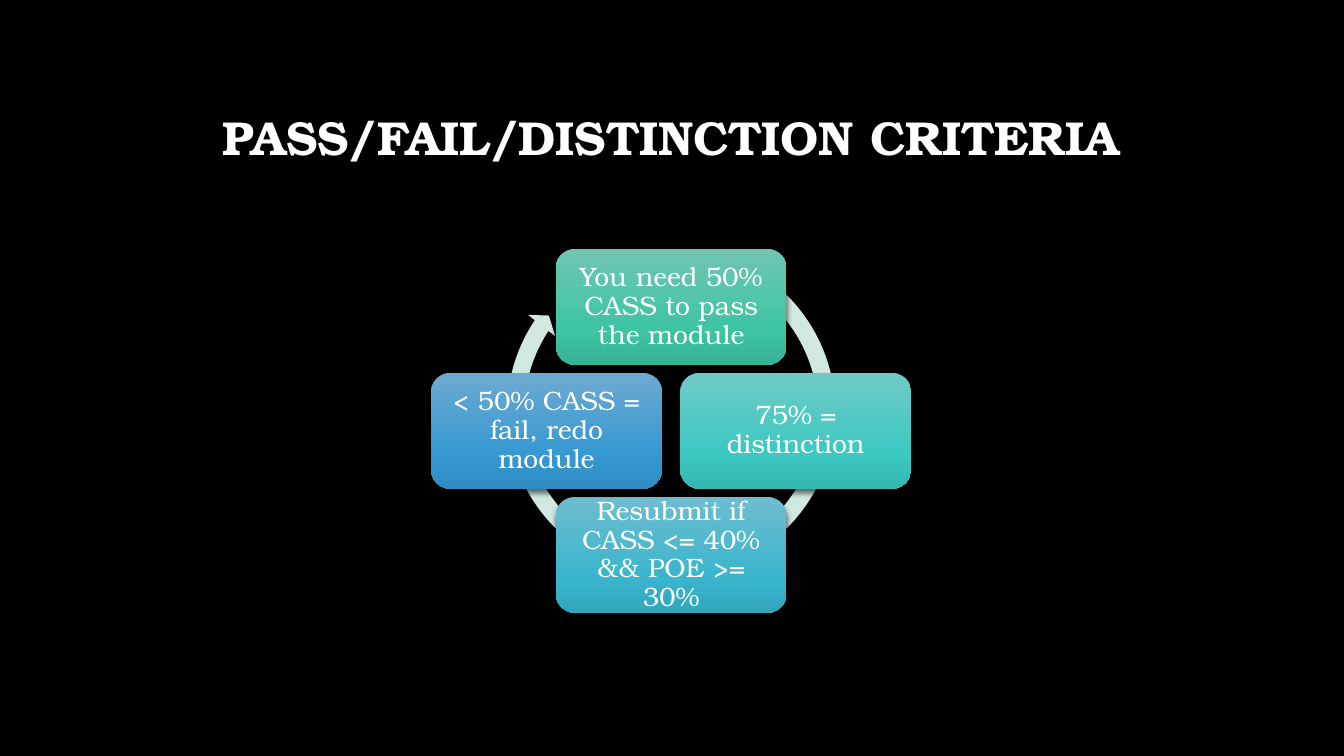
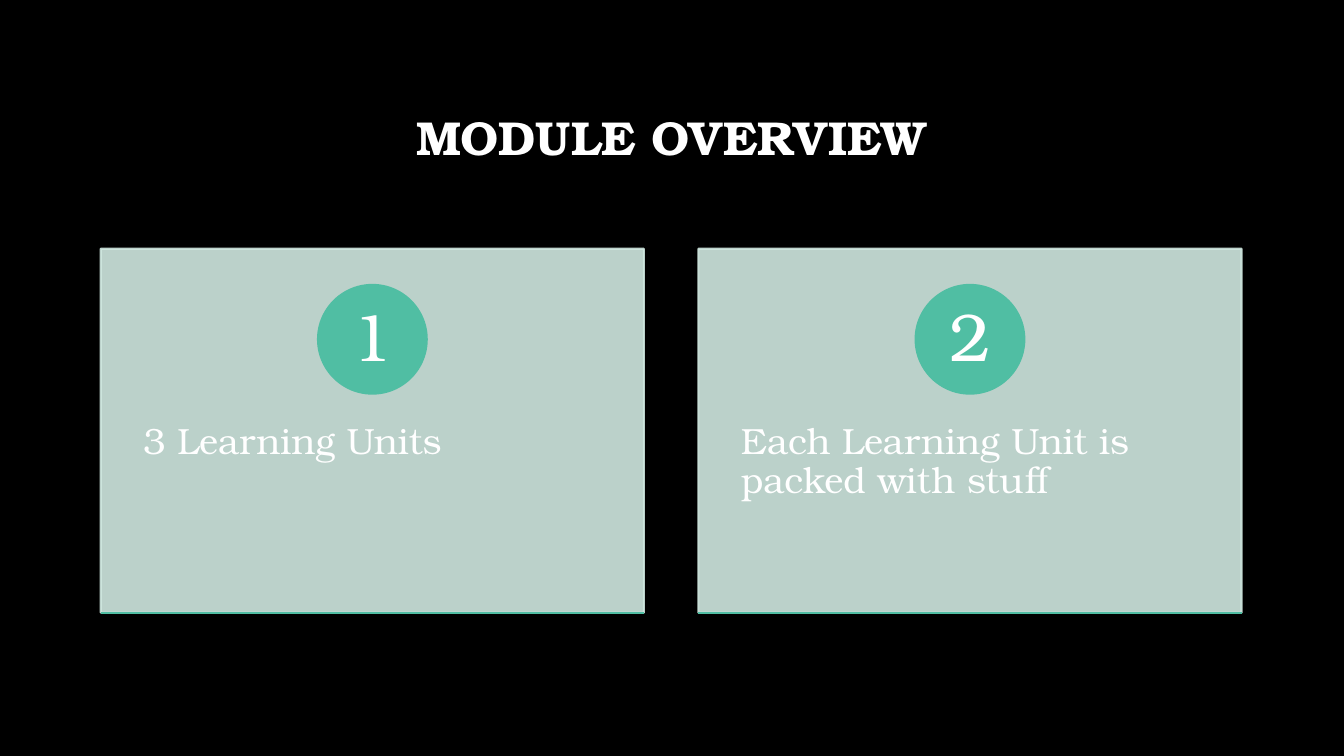
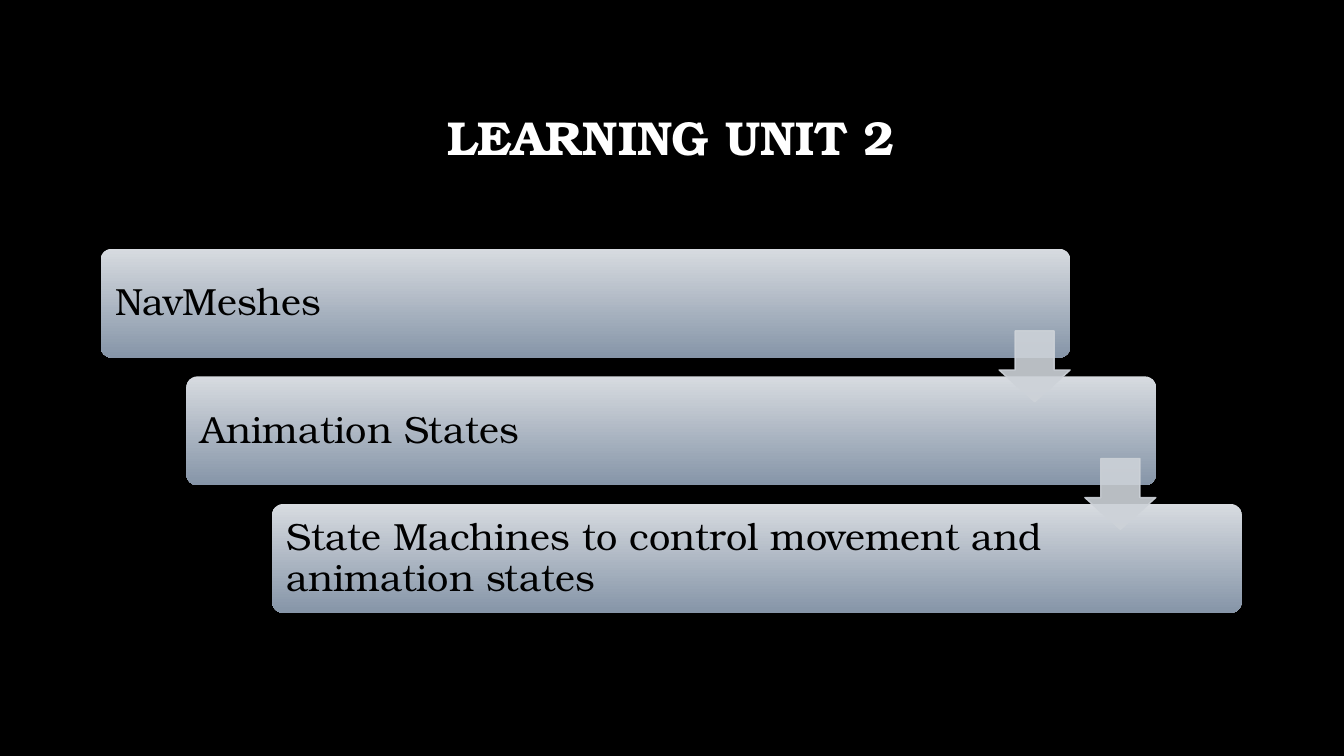
"""Build three slides on module marks, module content and learning unit topics."""
import dataclasses
import typing

import lxml.etree
import pptx
import pptx.dml.color
import pptx.enum.shapes
import pptx.enum.text
import pptx.oxml.ns
import pptx.presentation
import pptx.shapes.autoshape
import pptx.slide
import pptx.text.text
import pptx.util

Cm = pptx.util.Cm
Pt = pptx.util.Pt
qn = pptx.oxml.ns.qn
KIND = pptx.enum.shapes.MSO_SHAPE
ALIGN = pptx.enum.text.PP_ALIGN
ANCHOR = pptx.enum.text.MSO_ANCHOR

FONT = "TeX Gyre Bonum"
WHITE = "FFFFFF"
BLACK = "000000"
MINT = "D0E8E0"
GREEN = "50BEA3"
SILVER = "CDD2D8"
STEEL = ((0, "D7DBE0"), (100, "8695A8"))

LEFT, TOP, WIDTH, HEIGHT = 2.54, 6.27, 28.75, 9.17
MID_X, MID_Y = LEFT + WIDTH / 2, TOP + HEIGHT / 2

Stops = tuple[tuple[int, str], ...]


@dataclasses.dataclass(frozen=True)
class Box:
    """Place and size in centimetres."""
    left: float
    top: float
    width: float
    height: float


@dataclasses.dataclass(frozen=True)
class Style:
    """Look of a block of text, with insets as left, top, right, bottom."""
    size: int
    color: str = WHITE
    bold: bool = False
    align: ALIGN = ALIGN.CENTER
    anchor: ANCHOR = ANCHOR.MIDDLE
    inset: tuple[float, float, float, float] = (0.2, 0.2, 0.2, 0.2)


@dataclasses.dataclass(frozen=True)
class Tile:
    """One rule in the cycle, placed in steps from its centre."""
    text: str
    col: int
    row: int
    stops: Stops


HEAD = Style(34, bold=True, inset=(0.25, 0.13, 0.25, 0.13))
RULE = Style(19)
CARD = Style(26, align=ALIGN.LEFT, anchor=ANCHOR.TOP, inset=(1.07, 4.39, 1.07, 0.9))
DIGIT = Style(48, inset=(0.2, 0.03, 0.2, 0.03))
STEP = Style(27, BLACK, align=ALIGN.LEFT, inset=(0.28, 0.28, 4.2, 0.28))

TILES = (
    Tile("You need 50% CASS to pass the module", 0, -1,
         ((0, "70C6AF"), (69, "3EC4A3"), (100, "37B395"))),
    Tile("75% = distinction", 1, 0,
         ((0, "6FCAC6"), (69, "3DC8C2"), (100, "34B8B3"))),
    Tile("Resubmit if CASS <= 40% && POE >= 30%", 0, 1,
         ((0, "6EBDCE"), (69, "3AB5CD"), (100, "32A6BD"))),
    Tile("< 50% CASS = fail, redo module", -1, 0,
         ((0, "6DAAD2"), (69, "3799D2"), (100, "2F8CC2"))),
)
CARDS = ("3 Learning Units", "Each Learning Unit is packed with stuff")
STEPS = ("NavMeshes", "Animation States",
         "State Machines to control movement and animation states")


def tint(code: str) -> pptx.dml.color.RGBColor:
    """Turn a hex string into a colour."""
    return pptx.dml.color.RGBColor.from_string(code)


def write(frame: pptx.text.text.TextFrame, text: str, style: Style) -> None:
    """Put one styled paragraph in a text frame."""
    frame.word_wrap = True
    frame.vertical_anchor = style.anchor
    (frame.margin_left, frame.margin_top,
     frame.margin_right, frame.margin_bottom) = map(Cm, style.inset)
    para = frame.paragraphs[0]
    para.text = text
    para.alignment = style.align
    para.line_spacing = 0.9
    para.font.name = FONT
    para.font.size = Pt(style.size)
    para.font.bold = style.bold
    para.font.color.rgb = tint(style.color)


def draw(slide: pptx.slide.Slide, kind: KIND, box: Box, fill: str | Stops,
         line: float = 0, knobs: typing.Sequence[float] = ()) -> pptx.shapes.autoshape.Shape:
    """Add a preset shape with a plain or graded fill."""
    shape = slide.shapes.add_shape(
        kind, Cm(box.left), Cm(box.top), Cm(box.width), Cm(box.height))
    shape.shadow.inherit = False
    for index, value in enumerate(knobs):
        shape.adjustments[index] = value
    if isinstance(fill, str):
        shape.fill.solid()
        shape.fill.fore_color.rgb = tint(fill)
    else:
        grade(shape, fill)
    if line and isinstance(fill, str):
        shape.line.width = Pt(line)
        shape.line.color.rgb = tint(fill)
    else:
        shape.line.fill.background()
    return shape


def grade(shape: pptx.shapes.autoshape.Shape, stops: Stops) -> None:
    """Fill a shape with colours running from top to bottom."""
    shape.fill.gradient()
    shape.fill.gradient_angle = 270
    items = shape.element.spPr.find(".//" + qn("a:gsLst"))
    for item in list(items):
        items.remove(item)
    for place, code in stops:
        stop = lxml.etree.SubElement(items, qn("a:gs"), pos=str(place * 1000))
        lxml.etree.SubElement(stop, qn("a:srgbClr"), val=code)


def fade(shape: pptx.shapes.autoshape.Shape) -> None:
    """Make fill and line ninety percent opaque."""
    for color in shape.element.spPr.iter(qn("a:srgbClr")):
        lxml.etree.SubElement(color, qn("a:alpha"), val="90000")


def shade(shape: pptx.shapes.autoshape.Shape) -> None:
    """Drop a soft shadow below a shape."""
    effects = shape.element.spPr.find(qn("a:effectLst"))
    shadow = lxml.etree.SubElement(
        effects, qn("a:outerShdw"), blurRad=str(Pt(4)), dist=str(Pt(3)),
        dir="5400000", rotWithShape="0")
    color = lxml.etree.SubElement(shadow, qn("a:srgbClr"), val=BLACK)
    lxml.etree.SubElement(color, qn("a:alpha"), val="54000")


def start(deck: pptx.presentation.Presentation, title: str) -> pptx.slide.Slide:
    """Add a blank slide with the shared title."""
    slide = deck.slides.add_slide(deck.slide_layouts[6])
    label = slide.shapes.add_textbox(Cm(LEFT), Cm(1.7), Cm(WIDTH), Cm(3.68))
    write(label.text_frame, title, HEAD)
    return slide


def cycle(slide: pptx.slide.Slide) -> None:
    """Draw the pass rules around a ring."""
    width, height, ring = 5.82, 2.92, 8.71
    arrow = draw(slide, KIND.CIRCULAR_ARROW,
                 Box(MID_X - ring / 2, MID_Y - 0.48 - ring / 2, ring, ring), MINT,
                 knobs=(0.05, 2.73, 128.17, 180.41, 0.05))
    shade(arrow)
    for tile in TILES:
        box = Box(MID_X + tile.col * 3.14 - width / 2,
                  MID_Y + tile.row * (HEIGHT - height) / 2 - height / 2, width, height)
        shape = draw(slide, KIND.ROUNDED_RECTANGLE, box, tile.stops)
        shade(shape)
        write(shape.text_frame, tile.text, RULE)


def cards(slide: pptx.slide.Slide) -> None:
    """Draw the numbered cards side by side."""
    width, disc = 13.69, 2.74
    for index, text in enumerate(CARDS):
        left = LEFT + index * (WIDTH - width)
        card = draw(slide, KIND.RECTANGLE, Box(left, TOP, width, HEIGHT), MINT, 1.5)
        fade(card)
        write(card.text_frame, text, CARD)
        badge = draw(slide, KIND.OVAL,
                     Box(left + (width - disc) / 2, TOP + 0.91, disc, disc), GREEN, 1.5)
        write(badge.text_frame, str(index + 1), DIGIT)
        base = slide.shapes.add_connector(
            pptx.enum.shapes.MSO_CONNECTOR.STRAIGHT,
            Cm(left), Cm(TOP + HEIGHT), Cm(left + width), Cm(TOP + HEIGHT))
        base.line.width = Pt(1.5)
        base.line.color.rgb = tint(GREEN)
        lxml.etree.SubElement(base.element.spPr, qn("a:effectLst"))


def stairs(slide: pptx.slide.Slide) -> None:
    """Draw the topics as steps joined by arrows."""
    width, height, arrow = 24.43, 2.74, 1.79
    gaps = len(STEPS) - 1
    spots = [Box(LEFT + index * (WIDTH - width) / gaps,
                 TOP + index * (HEIGHT - height) / gaps, width, height)
             for index in range(len(STEPS))]
    for box, text in zip(spots, STEPS):
        bar = draw(slide, KIND.ROUNDED_RECTANGLE, box, STEEL, knobs=(0.1,))
        write(bar.text_frame, text, STEP)
    for box in spots[:-1]:
        fade(draw(slide, KIND.DOWN_ARROW,
                  Box(box.left + width - arrow, box.top + 2.07, arrow, arrow),
                  SILVER, 1, (0.55, 0.45)))


def main() -> None:
    """Build and save the deck."""
    deck = pptx.Presentation()
    deck.slide_width, deck.slide_height = Cm(33.87), Cm(19.05)
    back = deck.slide_master.background.fill
    back.solid()
    back.fore_color.rgb = tint(BLACK)
    cycle(start(deck, "PASS/FAIL/DISTINCTION CRITERIA"))
    cards(start(deck, "MODULE OVERVIEW"))
    stairs(start(deck, "LEARNING UNIT 2"))
    deck.save("out.pptx")


if __name__ == "__main__":
    main()
